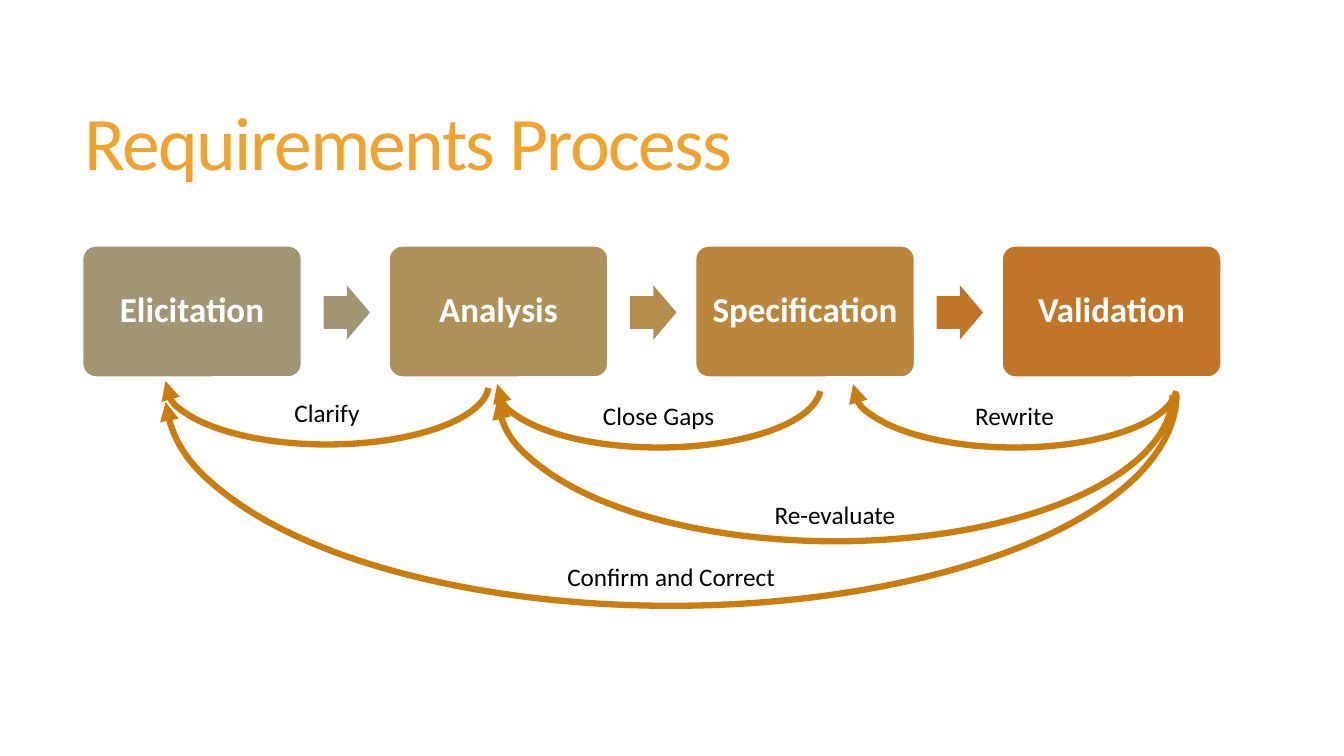
import pptx
import pptx.dml.color
import pptx.enum.shapes
import pptx.enum.text
import pptx.oxml
import pptx.oxml.ns
import pptx.util

Inches = pptx.util.Inches
Pt = pptx.util.Pt
RGBColor = pptx.dml.color.RGBColor
Kind = pptx.enum.shapes.MSO_SHAPE
Align = pptx.enum.text.PP_ALIGN
Anchor = pptx.enum.text.MSO_ANCHOR

FONT = "Calibri"
GOLD = RGBColor(0xF0, 0xA2, 0x2E)
OCHRE = RGBColor(0xC8, 0x7D, 0x0E)
WHITE = RGBColor(0xFF, 0xFF, 0xFF)
BLACK = RGBColor(0x00, 0x00, 0x00)
SAGE = RGBColor(0xA1, 0x95, 0x74)
SAND = RGBColor(0xAE, 0x91, 0x59)
HONEY = RGBColor(0xB5, 0x8C, 0x4A)
AMBER = RGBColor(0xBA, 0x86, 0x3E)
RUST = RGBColor(0xC1, 0x75, 0x29)

# Name, box colour, colour of the arrow that follows
STEPS = [
    ("Elicitation", SAGE, SAGE),
    ("Analysis", SAND, HONEY),
    ("Specification", AMBER, RUST),
    ("Validation", RUST, None),
]
LEFT, PITCH = 0.82, 3.04

SHORT = (0.967, 108.515)
LONG = (0.024, 107.432)
# Label, (left, top, width, height), angles, top inset that lowers the label
LOOPS = [
    ("Clarify", (1.64, 3.2, 3.21, 1.21), SHORT, 0.05),
    ("Close Gaps", (4.93, 3.23, 3.21, 1.21), SHORT, 0.05),
    ("Rewrite", (8.46, 3.23, 3.21, 1.21), SHORT, 0.05),
    ("Re-evaluate", (4.93, 2.46, 6.7, 2.91), LONG, 0.97),
    ("Confirm and Correct", (1.64, 1.8, 10.03, 4.21), LONG, 1.57),
]


def write(frame, text, size, color, bold=False, align=Align.CENTER):
    frame.word_wrap = True
    frame.vertical_anchor = Anchor.MIDDLE
    para = frame.paragraphs[0]
    para.alignment = align
    run = para.add_run()
    run.text = text
    font = run.font
    font.name, font.size, font.bold = FONT, Pt(size), bold
    font.color.rgb = color
    return para, run


def add_shape(slide, kind, box, adjust):
    shape = slide.shapes.add_shape(kind, *map(Inches, box))
    shape.shadow.inherit = False
    for i, value in enumerate(adjust):
        shape.adjustments[i] = value
    return shape


def paint(shape, color):
    shape.fill.solid()
    shape.fill.fore_color.rgb = color


def set_title(slide, text):
    title = slide.shapes.title
    title.left, title.top = Inches(0.74), Inches(0.56)
    title.width, title.height = Inches(11.78), Inches(1.81)
    frame = title.text_frame
    frame.auto_size = pptx.enum.text.MSO_AUTO_SIZE.NONE
    para, run = write(frame, text, 54, GOLD, align=Align.LEFT)
    para.line_spacing = 0.85
    run.font._element.set("spc", "-120")


def add_step(slide, left, name, color):
    box = add_shape(slide, Kind.ROUNDED_RECTANGLE, (left, 2.44, 2.17, 1.3), [0.1])
    paint(box, color)
    box.line.color.rgb = WHITE
    box.line.width = Pt(1)
    para, _ = write(box.text_frame, name, 25, WHITE, bold=True)
    para.line_spacing = 0.9


def add_arrow(slide, left, color):
    arrow = add_shape(slide, Kind.RIGHT_ARROW, (left, 2.83, 0.46, 0.54), [0.6, 0.5])
    paint(arrow, color)
    arrow.line.fill.background()


def add_loop(slide, label, box, angles, inset):
    """Add an arc that leads back to an earlier step."""
    arc = add_shape(slide, Kind.ARC, box, angles)
    arc.fill.background()
    arc.line.color.rgb = OCHRE
    arc.line.width = Pt(4.5)
    line = arc._element.spPr.find(pptx.oxml.ns.qn("a:ln"))
    line.append(pptx.oxml.parse_xml(
        f'<a:tailEnd {pptx.oxml.ns.nsdecls("a")} type="triangle"/>'))
    arc.text_frame.margin_top = Inches(inset)
    write(arc.text_frame, label, 18, BLACK)


def main():
    deck = pptx.Presentation()
    deck.slide_width, deck.slide_height = Inches(13.33), Inches(7.5)
    slide = deck.slides.add_slide(deck.slide_layouts.get_by_name("Title Only"))
    set_title(slide, "Requirements Process")
    for i, (name, color, next_color) in enumerate(STEPS):
        left = LEFT + i * PITCH
        add_step(slide, left, name, color)
        if next_color is not None:
            add_arrow(slide, left + 2.39, next_color)
    for loop in LOOPS:
        add_loop(slide, *loop)
    deck.save("out.pptx")


if __name__ == "__main__":
    main()
